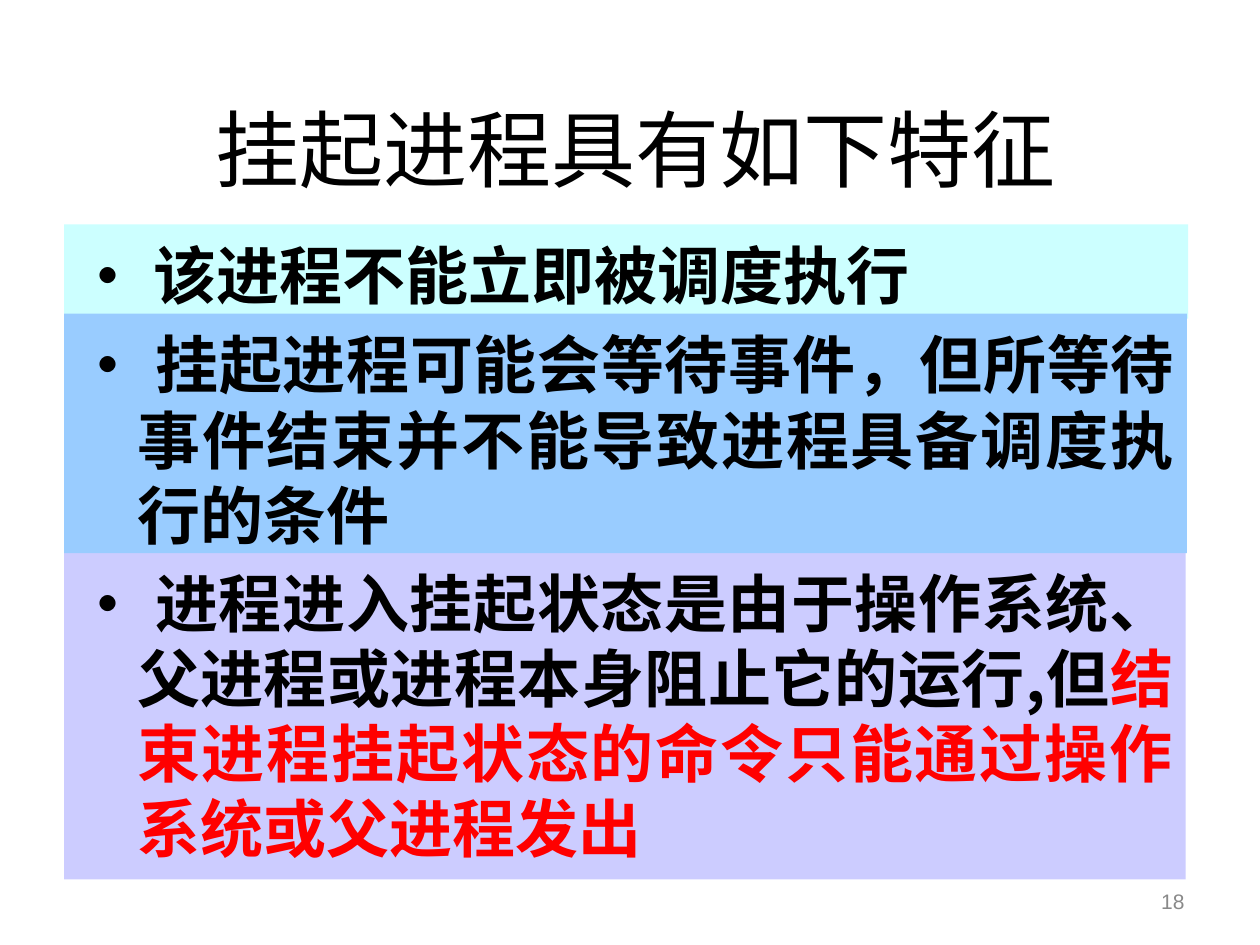
import pptx
import pptx.util
import pptx.dml.color
import pptx.enum.shapes
import pptx.enum.text
import pptx.oxml
import pptx.oxml.ns

PX = 9144
CJK = "Noto Sans CJK SC"
COLORS = {
    "black": "000000",
    "red": "FF0000",
    "gray": "898989",
    "cyan": "CCFFFF",
    "blue": "99CCFF",
    "violet": "CCCCFF",
}
ALIGN = pptx.enum.text.PP_ALIGN
MIDDLE = pptx.enum.text.MSO_ANCHOR.MIDDLE


def px(n):
    return pptx.util.Emu(n * PX)


def rgb(name):
    return pptx.dml.color.RGBColor.from_string(COLORS[name])


class Deck:
    def __init__(self):
        self.prs = pptx.Presentation()
        self.prs.slide_width, self.prs.slide_height = px(1000), px(750)
        self.s = self.prs.slides.add_slide(self.prs.slide_layouts[5])

    def run(self, p, text, size, color="black", font=CJK, bold=False):
        r = p.add_run()
        r.text = text
        r.font.size = pptx.util.Pt(size)
        r.font.bold = bold
        r.font.color.rgb = rgb(color)
        r.font.name = font
        ea = pptx.oxml.parse_xml(
            f'<a:ea {pptx.oxml.ns.nsdecls("a")} typeface="{CJK}"/>')
        r.font._element.find(pptx.oxml.ns.qn("a:latin")).addnext(ea)

    def title(self, x, y, w, h, text):
        sp = self.s.shapes.title
        sp.left, sp.top, sp.width, sp.height = map(px, (x, y, w, h))
        tf = sp.text_frame
        tf.vertical_anchor = MIDDLE
        p = tf.paragraphs[0]
        p.alignment = ALIGN.CENTER
        self.run(p, text, 48)

    def bullet_box(self, x, y, w, h, fill, indent, bullet_font, parts):
        sp = self.s.shapes.add_shape(
            pptx.enum.shapes.MSO_SHAPE.RECTANGLE, *map(px, (x, y, w, h)))
        sp.shadow.inherit = False
        sp.fill.solid()
        sp.fill.fore_color.rgb = rgb(fill)
        sp.line.fill.background()
        tf = sp.text_frame
        tf.word_wrap = True
        tf.vertical_anchor = pptx.enum.text.MSO_ANCHOR.TOP
        tf.margin_left = tf.margin_right = tf.margin_top = px(10)
        tf.margin_bottom = px(5)
        p = tf.paragraphs[0]
        p.alignment = ALIGN.JUSTIFY
        p.line_spacing = pptx.util.Pt(43)
        pPr = p._p.get_or_add_pPr()
        pPr.set("marL", str(px(indent)))
        pPr.set("indent", str(px(-indent)))
        self.run(p, "• ", 36, font=bullet_font, bold=True)
        for text, color in parts:
            self.run(p, text, 36, color, bold=True)

    def page_number(self, x, y, w, h, text):
        sp = self.s.shapes.add_textbox(*map(px, (x, y, w, h)))
        tf = sp.text_frame
        tf.word_wrap = True
        tf.vertical_anchor = MIDDLE
        p = tf.paragraphs[0]
        p.alignment = ALIGN.RIGHT
        self.run(p, text, 12, "gray", "Arial")


def main():
    d = Deck()
    d.title(51, 67, 907, 100, "挂起进程具有如下特征")
    d.bullet_box(51, 178, 892, 75, "cyan", 52, "Calibri",
                 [("该进程不能立即被调度执行", "black")])
    d.page_number(717, 695, 233, 40, "18")
    d.bullet_box(51, 438, 890, 260, "violet", 48, "Arial", [
        ("进程进入挂起状态是由于操作系统、父进程或进程本身阻止它的运行,但", "black"),
        ("结束进程挂起状态的命令只能通过操作系统或父进程发出", "red"),
    ])
    d.bullet_box(51, 249, 891, 190, "blue", 48, "Arial", [
        ("挂起进程可能会等待事件，但所等待事件结束并不能导致进程具备调度执行的条件", "black"),
    ])
    d.prs.save("out.pptx")


if __name__ == "__main__":
    main()
